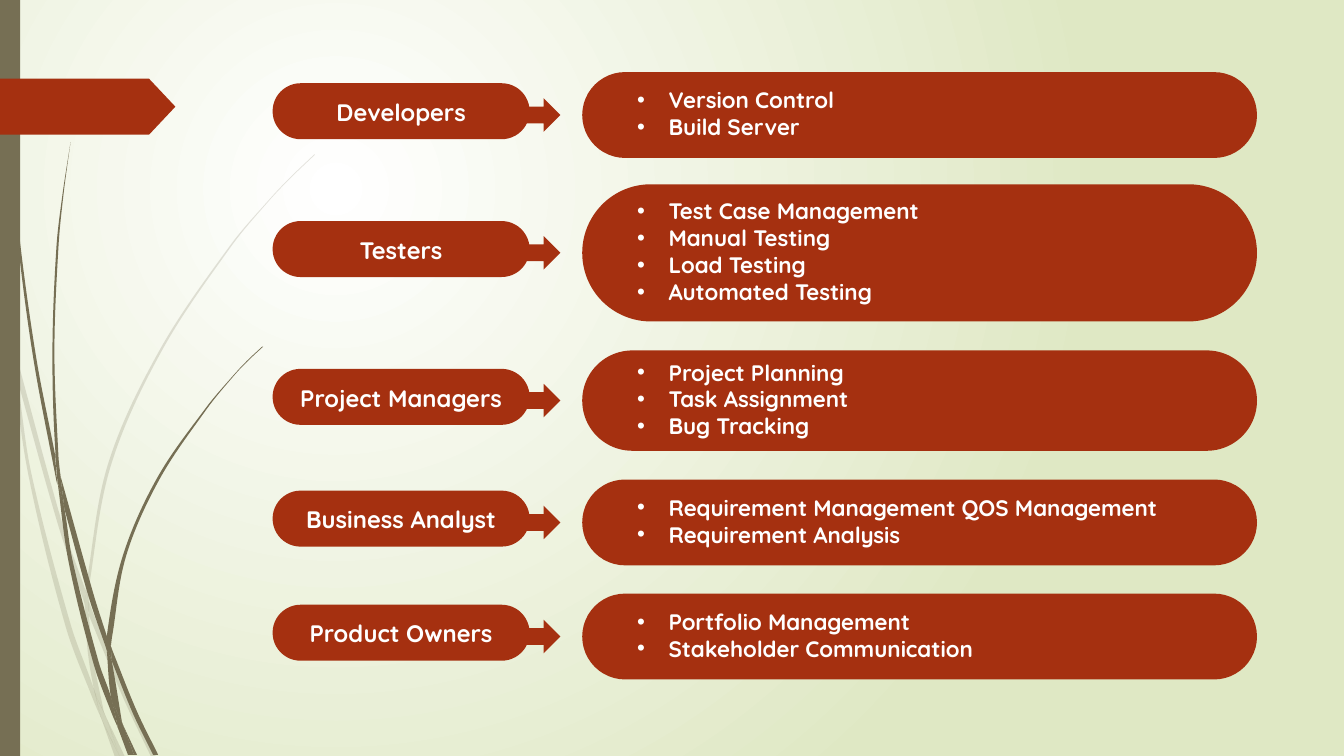
import dataclasses
import itertools
import math
import typing

import pptx
import pptx.dml.color
import pptx.enum.shapes
import pptx.enum.text
import pptx.oxml
import pptx.oxml.ns
import pptx.util

Pt = pptx.util.Pt
RGB = pptx.dml.color.RGBColor
Preset = pptx.enum.shapes.MSO_SHAPE
Point = tuple[float, float]
Edge = tuple[Point, ...]


@dataclasses.dataclass(frozen=True)
class Theme:
    rust: RGB = RGB(0xA5, 0x30, 0x10)
    olive: RGB = RGB(0x76, 0x6F, 0x54)
    white: RGB = RGB(0xFF, 0xFF, 0xFF)
    pale_green: RGB = RGB(0xDF, 0xE8, 0xC4)
    font: str = "Quicksand"
    role_size: float = 17
    task_size: float = 16


@dataclasses.dataclass(frozen=True)
class Role:
    title: str
    top: float
    height: float
    tasks: tuple[str, ...]


class Leaf(typing.NamedTuple):
    """Piece of grass between two smooth edges, in grid steps."""
    out: Edge
    back: Edge


THEME = Theme()
SLIDE_WIDTH, SLIDE_HEIGHT = 960, 540
GRID = 0.72

ROLES = (
    Role("Developers", 51.5, 61.3, ("Version Control", "Build Server")),
    Role("Testers", 131.6, 98, ("Test Case Management", "Manual Testing",
                                "Load Testing", "Automated Testing")),
    Role("Project Managers", 250.3, 71.7,
         ("Project Planning", "Task Assignment", "Bug Tracking")),
    Role("Business Analyst", 342.5, 61.3,
         ("Requirement Management QOS Management", "Requirement Analysis")),
    Role("Product Owners", 424, 61.3,
         ("Portfolio Management", "Stakeholder Communication")),
)

FAINT_GRASS = (
    Leaf(((11, 350), (9, 322), (0, 282)), ((0, 299), (10, 344), (11, 350))),
    Leaf(((14, 345), (62, 520), (85, 586)), ((84, 599), (58, 522), (17, 376))),
    Leaf(((88, 596), (92, 607), (127, 692), (155, 751)),
         ((150, 751), (123, 694), (88, 610))),
    Leaf(((105, 711), (124, 751)), ((119, 751), (105, 711))),
    Leaf(((11, 350), (28, 470), (65, 621), (92, 693), (101, 714)),
         ((99, 707), (93, 683), (70, 619), (31, 469), (17, 376), (11, 350))),
    Leaf(((84, 599), (87, 646), (93, 683), (96, 692), (105, 711)),
         ((103, 706), (91, 646), (88, 610), (84, 599))),
    Leaf(((88, 596), (88, 584), (110, 462), (160, 349), (229, 245), (268, 198),
          (290, 175), (312, 154)),
         ((312, 153), (289, 175), (268, 197), (228, 244), (158, 348), (107, 461),
          (85, 584), (85, 586))),
    Leaf(((101, 714), (114, 751)), ((119, 751), (101, 714))),
    Leaf(((88, 610), (88, 596), (85, 586)), ((84, 599), (88, 608))),
    Leaf(((93, 683), (99, 707), (101, 714), (119, 751)),
         ((119, 751), (105, 711), (96, 692))),
)
DARK_GRASS = (
    Leaf(((3, 0), (4, 48), (7, 110), (17, 233), (33, 355), (56, 477), (57, 481)),
         ((55, 457), (55, 453), (36, 355), (19, 232), (8, 109), (5, 48), (4, 0))),
    Leaf(((60, 472), (93, 590), (106, 631)), ((106, 645), (88, 592), (64, 505))),
    Leaf(((110, 641), (113, 649), (136, 706), (157, 749)),
         ((152, 749), (132, 708), (111, 656))),
    Leaf(((57, 477), (68, 557), (93, 659), (111, 708), (117, 722)),
         ((116, 717), (110, 691), (98, 657), (72, 556), (64, 505), (57, 477))),
    Leaf(((60, 472), (58, 453), (54, 349), (58, 245), (63, 193), (70, 141)),
         ((70, 141), (62, 193), (56, 245), (52, 349), (55, 449), (60, 472))),
    Leaf(((122, 719), (136, 749)), ((133, 749), (122, 719))),
    Leaf(((57, 477), (64, 505)), ((60, 472), (55, 449), (55, 453))),
    Leaf(((111, 633), (125, 552), (158, 476), (205, 406), (231, 374), (245, 359),
          (261, 344)),
         ((260, 344), (245, 358), (231, 373), (204, 405), (156, 474), (122, 551),
          (106, 631), (110, 641))),
    Leaf(((117, 722), (127, 749)), ((131, 749), (117, 722))),
    Leaf(((106, 645), (110, 691), (116, 706), (122, 719)),
         ((121, 716), (111, 656), (109, 651))),
    Leaf(((106, 631), (110, 641), (111, 656)), ((109, 651), (106, 645), (106, 633))),
    Leaf(((110, 691), (116, 717), (117, 722), (130, 749)),
         ((133, 749), (122, 719), (116, 706))),
)


def paint(shape: typing.Any, color: RGB) -> None:
    shape.shadow.inherit = False
    shape.fill.solid()
    shape.fill.fore_color.rgb = color
    shape.line.fill.background()


def add_block(shapes: typing.Any, preset: Preset, left: float, top: float,
              width: float, height: float, color: RGB,
              adjustment: float | None = None) -> typing.Any:
    block = shapes.add_shape(preset, Pt(left), Pt(top), Pt(width), Pt(height))
    paint(block, color)
    if adjustment is not None:
        block.adjustments[0] = adjustment
    return block


def set_text(shape: typing.Any, lines: tuple[str, ...], size: float,
             align: pptx.enum.text.PP_ALIGN) -> None:
    frame = shape.text_frame
    frame.word_wrap = True
    frame.vertical_anchor = pptx.enum.text.MSO_ANCHOR.MIDDLE
    frame.margin_top = frame.margin_bottom = 0
    frame.text = "\n".join(lines)
    for paragraph in frame.paragraphs:
        paragraph.alignment = align
        font = paragraph.runs[0].font
        font.name, font.size, font.bold = THEME.font, Pt(size), True
        font.color.rgb = THEME.white


def add_bullets(shape: typing.Any, indent: float) -> None:
    for paragraph in shape.text_frame.paragraphs:
        properties = paragraph._p.get_or_add_pPr()
        properties.set("marL", str(Pt(indent)))
        properties.set("indent", str(-Pt(indent)))
        for tag, key, value in (("a:buFont", "typeface", "Arial"),
                                ("a:buChar", "char", "•")):
            bullet = pptx.oxml.parse_xml(f"<{tag} {pptx.oxml.ns.nsdecls('a')}/>")
            bullet.set(key, value)
            properties.append(bullet)


def curve_points(edge: Edge) -> list[Point]:
    """Two handles and an end point for each smooth step along the edge."""
    padded = (edge[0], *edge, edge[-1])
    points = []
    for before, start, end, after in zip(padded, padded[1:], padded[2:], padded[3:]):
        reach = math.dist(start, end) / 3
        leave, arrive = reach / math.dist(before, end), reach / math.dist(start, after)
        points += [tuple(s + (e - b) * leave for b, s, e in zip(before, start, end)),
                   tuple(e - (a - s) * arrive for s, e, a in zip(start, end, after)),
                   end]
    return points


def add_leaf(shapes: typing.Any, leaf: Leaf, opacity: int) -> None:
    join = [] if leaf.out[-1] == leaf.back[0] else curve_points((leaf.out[-1], leaf.back[0]))
    outline = [leaf.out[0], *curve_points(leaf.out), *join, *curve_points(leaf.back)]
    start, *rest = [(Pt(GRID * x), Pt(GRID * y)) for x, y in outline]
    builder = shapes.build_freeform(*start)
    builder.add_line_segments(rest, close=True)
    grass = builder.convert_to_shape()
    paint(grass, THEME.olive)
    # Every three points become one curve
    steps = iter(grass._element.findall(".//" + pptx.oxml.ns.qn("a:lnTo")))
    for first, second, third in zip(steps, steps, steps):
        curve = pptx.oxml.parse_xml(f"<a:cubicBezTo {pptx.oxml.ns.nsdecls('a')}/>")
        first.addprevious(curve)
        for step in (first, second, third):
            curve.append(step[0])
            step.getparent().remove(step)
    if opacity < 100:
        color = grass._element.spPr.find(".//" + pptx.oxml.ns.qn("a:srgbClr"))
        color.append(pptx.oxml.parse_xml(
            f'<a:alpha {pptx.oxml.ns.nsdecls("a")} val="{opacity * 1000}"/>'))


def add_role(shapes: typing.Any, role: Role) -> None:
    row = shapes.add_group_shape().shapes
    middle = role.top + role.height / 2
    label = add_block(row, Preset.ROUNDED_RECTANGLE, 194.7, middle - 22.7,
                      183.6, 40, THEME.rust, 0.5)
    label.text_frame.margin_left = label.text_frame.margin_right = 0
    set_text(label, (role.title,), THEME.role_size, pptx.enum.text.PP_ALIGN.CENTER)
    label.text_frame.margin_top = Pt(1)
    add_block(row, Preset.ROUNDED_RECTANGLE, 415.9, role.top, 482, role.height,
              THEME.rust, 0.5)
    tasks = row.add_textbox(Pt(448), Pt(role.top - 1.2), Pt(417.6), Pt(role.height))
    set_text(tasks, role.tasks, THEME.task_size, pptx.enum.text.PP_ALIGN.LEFT)
    add_bullets(tasks, 22.5)
    add_block(row, Preset.RIGHT_ARROW, 365, middle - 12, 35.3, 24, THEME.rust)


def add_background(slide: typing.Any) -> None:
    fill = slide.background.fill
    fill.gradient()
    for stop, color, position in zip(fill.gradient_stops,
                                     (THEME.white, THEME.pale_green), (0, 1)):
        stop.color.rgb, stop.position = color, position
    linear = slide.element.find(".//" + pptx.oxml.ns.qn("a:lin"))
    linear.getparent().replace(linear, pptx.oxml.parse_xml(
        f'<a:path {pptx.oxml.ns.nsdecls("a")} path="circle">'
        '<a:fillToRect l="50000" t="50000" r="100000" b="100000"/></a:path>'))


deck = pptx.Presentation()
deck.slide_width, deck.slide_height = Pt(SLIDE_WIDTH), Pt(SLIDE_HEIGHT)
role_slide = deck.slides.add_slide(deck.slide_layouts[6])

# Backdrop: gradient, grass, side bar and page tag
add_background(role_slide)
for tuft, tuft_opacity in ((FAINT_GRASS, 20), (DARK_GRASS, 100)):
    tuft_shapes = role_slide.shapes.add_group_shape().shapes
    for grass_leaf, shade in zip(tuft, itertools.repeat(tuft_opacity)):
        add_leaf(tuft_shapes, grass_leaf, shade)
add_block(role_slide.shapes, Preset.RECTANGLE, 0, 0, 14.4, SLIDE_HEIGHT, THEME.olive)
add_block(role_slide.shapes, Preset.PENTAGON, 0, 56.2, 125.3, 40, THEME.rust, 0.47)

# Roles with their tasks
for team_role in ROLES:
    add_role(role_slide.shapes, team_role)

deck.save("out.pptx")
